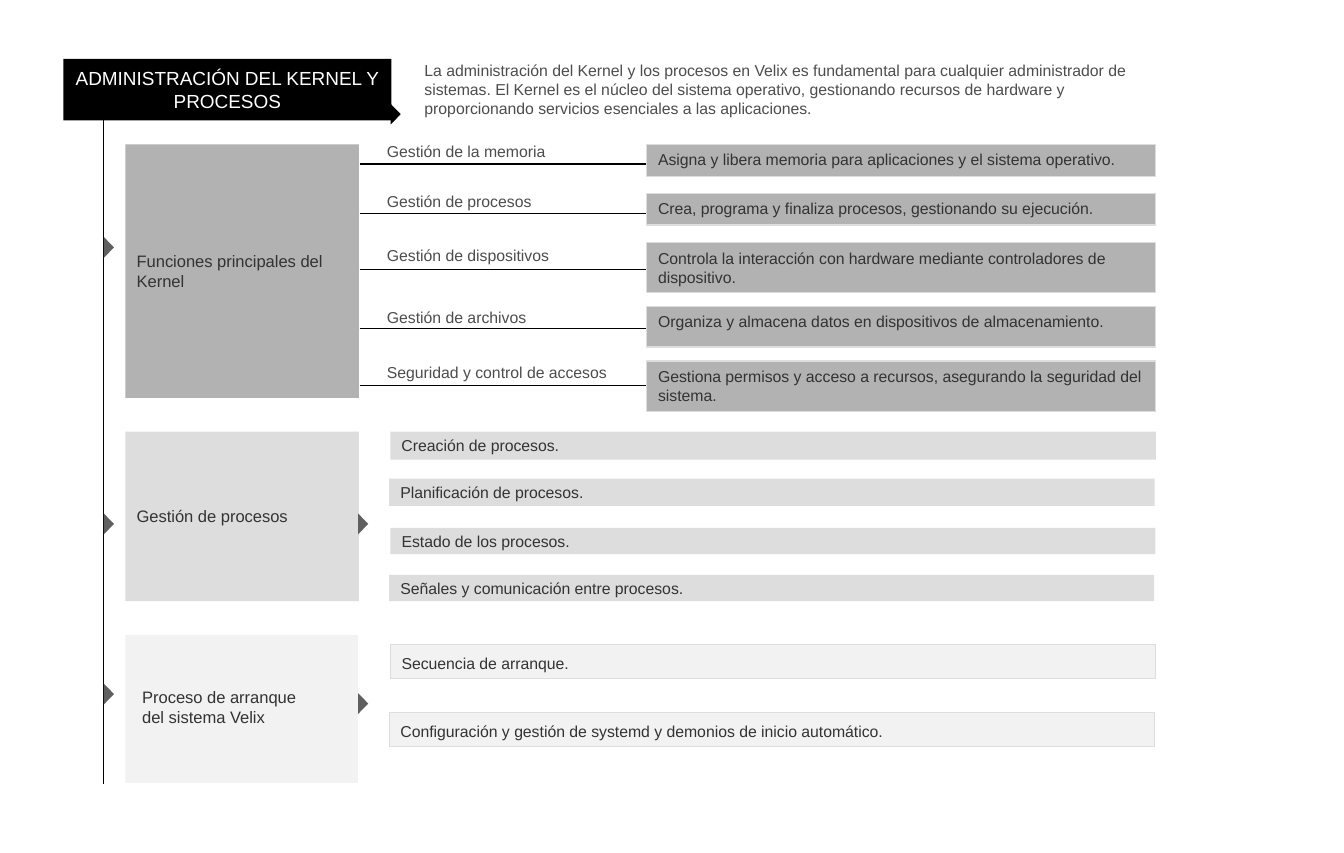
from pptx import Presentation
from pptx.dml.color import RGBColor
from pptx.enum.shapes import MSO_CONNECTOR as Connector, MSO_SHAPE as Shape
from pptx.enum.text import MSO_ANCHOR as Anchor, PP_ALIGN as Align
from pptx.oxml.ns import qn
from pptx.util import Pt
from lxml.etree import SubElement

PX = 4500  # EMU per px; the page is 30 cm by 19.05 cm
BLACK = RGBColor(0x00, 0x00, 0x00)
WHITE = RGBColor(0xFF, 0xFF, 0xFF)
INK = RGBColor(0x33, 0x33, 0x33)
LABEL_INK = RGBColor(0x4D, 0x4D, 0x4D)
MARKER = RGBColor(0x5F, 0x5F, 0x5F)
DARK = RGBColor(0xB2, 0xB2, 0xB2)
MEDIUM = RGBColor(0xDD, 0xDD, 0xDD)
LIGHT = RGBColor(0xF2, 0xF2, 0xF2)

deck = Presentation()
deck.slide_width, deck.slide_height = 2400 * PX, 1524 * PX
page = deck.slides.add_slide(deck.slide_layouts[6])


def add_box(area, text="", fill=None, border=None, size=10, color=INK,
            anchor=Anchor.MIDDLE, align=Align.LEFT, spacing=1.0):
    """Add a filled rectangle, or a plain text box when there is no fill."""
    place = [value * PX for value in area]
    if fill is None:
        box = page.shapes.add_textbox(*place)
    else:
        box = page.shapes.add_shape(Shape.RECTANGLE, *place)
        box.shadow.inherit = False
        box.fill.solid()
        box.fill.fore_color.rgb = fill
        if border is None:
            box.line.fill.background()
        else:
            box.line.color.rgb = border
            box.line.width = Pt(0.75)
    if text:
        frame = box.text_frame
        frame.word_wrap = True
        frame.vertical_anchor = anchor
        para = frame.paragraphs[0]
        para.alignment = align
        para.line_spacing = spacing
        span = para.add_run()
        span.text = text
        for name, value in {"name": "Arial", "size": Pt(size)}.items():
            setattr(span.font, name, value)
        span.font.color.rgb = color


def add_line(x1, y1, x2, y2, arrow=False):
    line = page.shapes.add_connector(
        Connector.STRAIGHT, x1 * PX, y1 * PX, x2 * PX, y2 * PX)
    line.line.color.rgb = BLACK
    line.line.width = Pt(0.75)
    if arrow:
        outline = line._element.spPr.find(qn("a:ln"))
        SubElement(outline, qn("a:tailEnd"), type="triangle")
    SubElement(line._element.spPr, qn("a:effectLst"))


# Kernel functions: label, its top and width, arrow height, detail, its top and height
KERNEL_ROWS = [
    ("Gestión de la memoria", 243, 528, 293,
     "Asigna y libera memoria para aplicaciones y el sistema operativo.", 258, 57),
    ("Gestión de procesos", 332, 528, 381,
     "Crea, programa y finaliza procesos, gestionando su ejecución.", 345, 57),
    ("Gestión de dispositivos", 429, 528, 482,
     "Controla la interacción con hardware mediante controladores de dispositivo.",
     434, 89),
    ("Gestión de archivos", 539, 321, 587,
     "Organiza y almacena datos en dispositivos de almacenamiento.", 547, 73),
    ("Seguridad y control de accesos", 638, 455, 688,
     "Gestiona permisos y acceso a recursos, asegurando la seguridad del sistema.",
     645, 91),
]

# Trunk line and arrows lie behind the boxes
add_line(185, 148, 185, 1400)
for _, _, _, arrow_y, _, _, _ in KERNEL_ROWS:
    add_line(642, arrow_y, 1181, arrow_y, arrow=True)

# Heading and introduction
add_box((113, 105, 586, 110), "ADMINISTRACIÓN DEL KERNEL Y PROCESOS", BLACK,
        size=12, color=WHITE, align=Align.CENTER)
add_box((738, 98, 1325, 124),
        "La administración del Kernel y los procesos en Velix es fundamental para "
        "cualquier administrador de sistemas. El Kernel es el núcleo del sistema "
        "operativo, gestionando recursos de hardware y proporcionando servicios "
        "esenciales a las aplicaciones.", color=LABEL_INK)

# Section blocks
add_box((224, 258, 417, 453), "Funciones principales del Kernel", DARK, size=10.5)
add_box((224, 771, 417, 303), "Gestión de procesos", MEDIUM, size=10.5)
add_box((224, 1135, 415, 264), fill=LIGHT)
add_box((234, 1216, 360, 93), "Proceso de arranque del sistema Velix", size=10.5)

for label, label_top, label_width, _, detail, top, height in KERNEL_ROWS:
    add_box((671, label_top, label_width, 55), label, color=LABEL_INK,
            anchor=Anchor.TOP)
    add_box((1155, top, 909, height), detail, DARK, MEDIUM, anchor=Anchor.TOP)

# Process topics
for text, left, top, width, height in [
    ("Creación de procesos.", 697, 771, 1367, 50),
    ("Planificación de procesos.", 695, 855, 1367, 49),
    ("Estado de los procesos.", 697, 943, 1366, 47),
    ("Señales y comunicación entre procesos.", 695, 1027, 1366, 47),
]:
    add_box((left, top, width, height), text, MEDIUM)

# Boot topics
for text, left, top in [
    ("Secuencia de arranque.", 697, 1151),
    ("Configuración y gestión de systemd y demonios de inicio automático.", 695, 1273),
]:
    add_box((left, top, 1366, 61), text, LIGHT, MEDIUM,
            anchor=Anchor.TOP, spacing=1.2)

# Pointers on the trunk line, the heading and the section blocks
for left, top, color in [
    (176, 433, MARKER), (176, 927, MARKER), (176, 1231, MARKER),
    (688, 195, BLACK), (630, 927, MARKER), (630, 1248, MARKER),
]:
    pointer = page.shapes.add_shape(
        Shape.ISOSCELES_TRIANGLE, left * PX, top * PX, 37 * PX, 18 * PX)
    pointer.rotation = 90
    pointer.shadow.inherit = False
    pointer.fill.solid()
    pointer.fill.fore_color.rgb = color
    pointer.line.fill.background()

deck.save("out.pptx")
